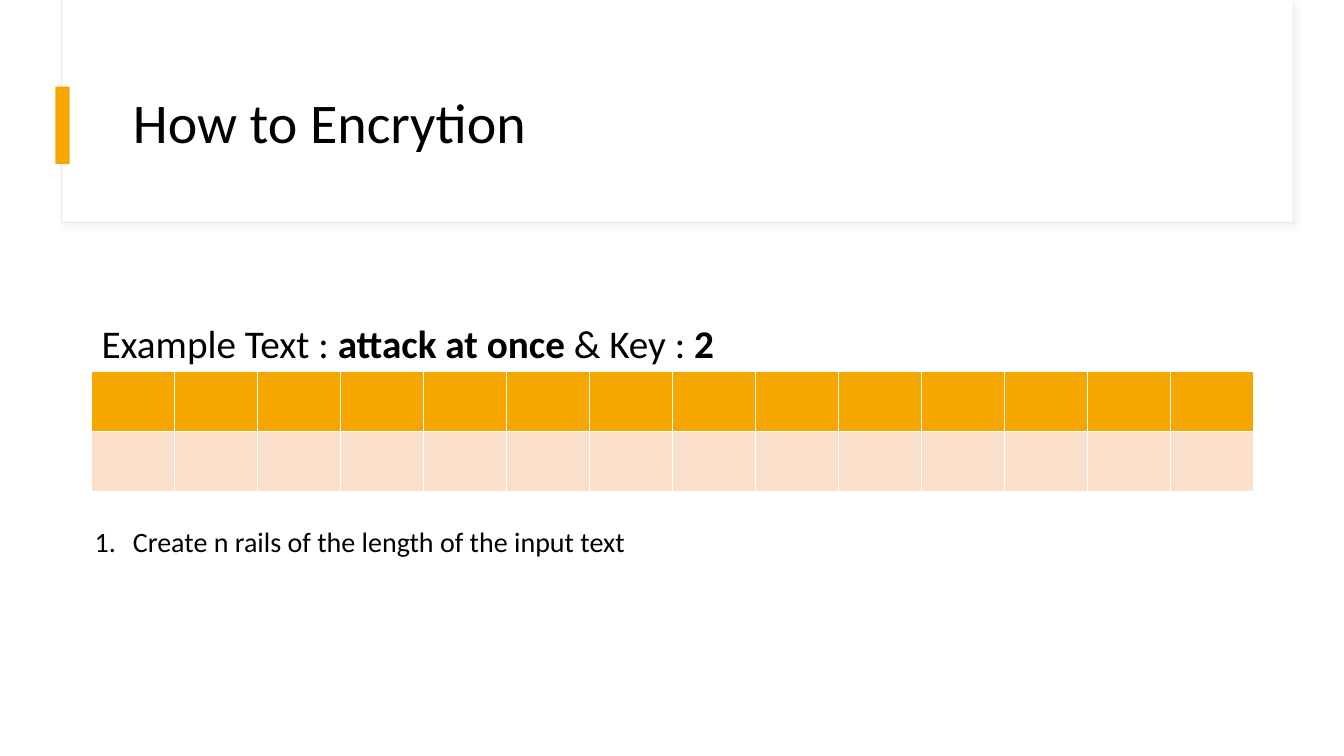
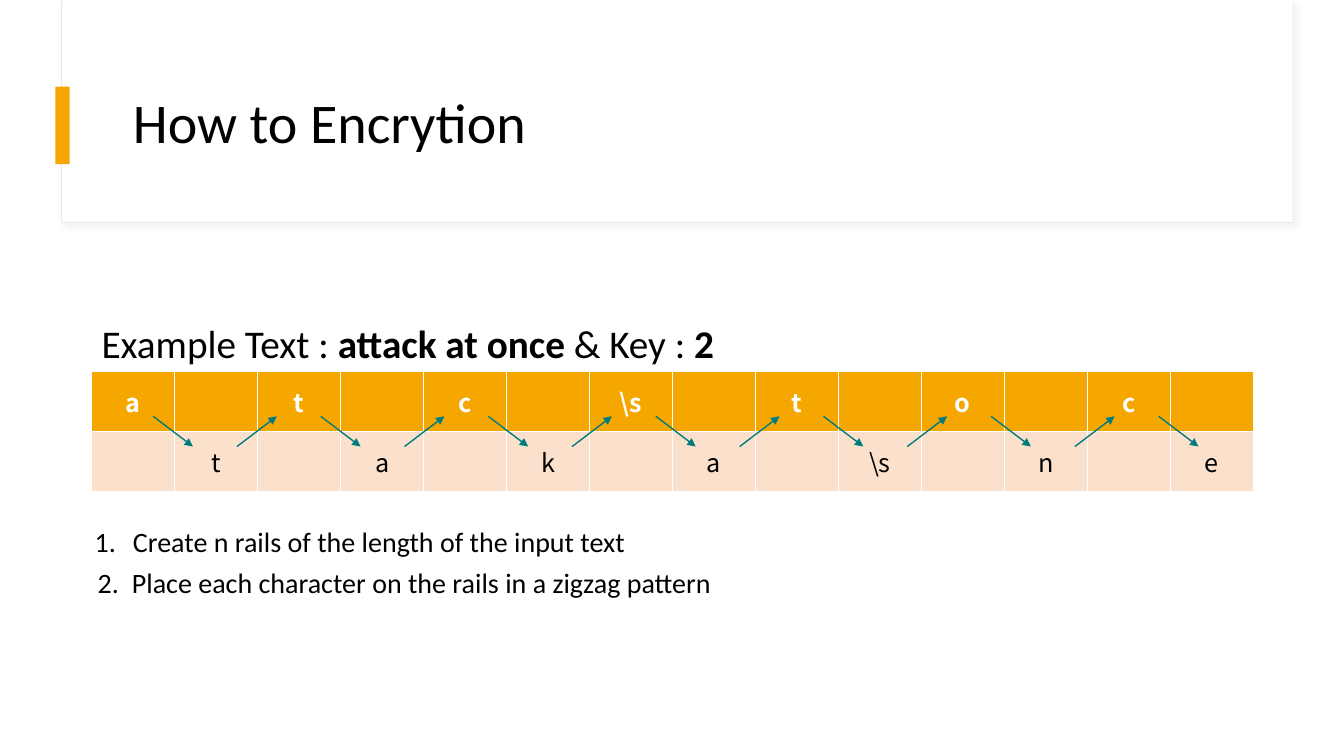
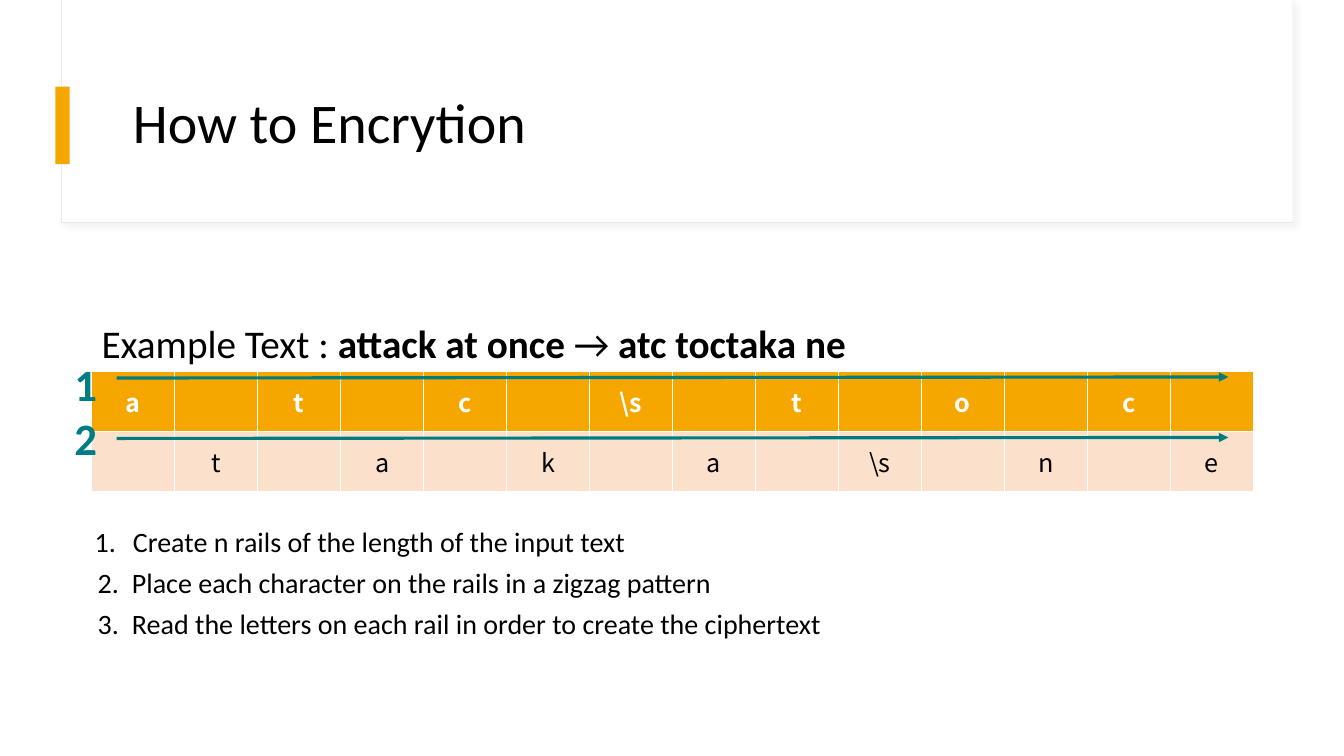
"""Build three slides that explain rail fence encryption step by step."""
import lxml.etree
import pptx
import pptx.dml.color
import pptx.enum.shapes
import pptx.enum.text
import pptx.oxml.ns
import pptx.util

inch = pptx.util.Inches
rgb = pptx.dml.color.RGBColor.from_string
qn = pptx.oxml.ns.qn

AMBER, PEACH, TEAL, WHITE, BLACK = "F5A700", "FBE1CC", "007C80", "FFFFFF", "000000"
LEFT, TOP, WIDTH = 0.91, 3.68, 11.52
COLS, ROW = 14, 0.6
COL = WIDTH / COLS
MESSAGE = ["a", "t", "t", "a", "c", "k", "\\s", "a", "t", "\\s", "o", "n", "c", "e"]
STEPS = [
    (0.84, 8.07, 0.38, "Create n rails of the length of the input text"),
    (0.87, 8.07, 0.34, "Place each character on the rails in a zigzag pattern"),
    (0.87, 9.21, 0.34, "Read the letters on each rail in order to create the ciphertext"),
]
KEY_LINE = "Example Text : *attack at once* & Key : *2*"
CIPHER_LINE = "Example Text : *attack at once* → *atc toctaka ne*"


def add_text(s, box, lines, size, color=BLACK):
    """Add a text box; words between asterisks are bold."""
    tf = s.shapes.add_textbox(*map(inch, box)).text_frame
    tf.word_wrap = True
    for i, line in enumerate(lines):
        p = tf.paragraphs[0] if i == 0 else tf.add_paragraph()
        for j, part in enumerate(line.split("*")):
            if part:
                r = p.add_run()
                r.text = part
                fmt = {"name": "Calibri", "size": pptx.util.Pt(size), "bold": j % 2 == 1}
                for name, value in fmt.items():
                    setattr(r.font, name, value)
                r.font.color.rgb = rgb(color)
    return tf


def add_arrow(s, ends, width):
    """Add a teal arrow that runs from the first point to the second."""
    c = s.shapes.add_connector(pptx.enum.shapes.MSO_CONNECTOR.STRAIGHT, *map(inch, ends))
    c.line.width = pptx.util.Pt(width)
    c.line.color.rgb = rgb(TEAL)
    sppr = c.element.spPr
    lxml.etree.SubElement(sppr.find(qn("a:ln")), qn("a:tailEnd"), type="triangle")
    lxml.etree.SubElement(sppr, qn("a:effectLst"))


prs = pptx.Presentation()
prs.slide_width, prs.slide_height = inch(13.33), inch(7.5)
blank = prs.slide_layouts[6]
slides = [prs.slides.add_slide(blank) for _ in STEPS]

for box, fill, edge in [
    ((0.61, 0, 12.21, 2.21), WHITE, "E9E9E9"),
    ((0.62, 0, 12.2, 2.2), WHITE, None),
    ((0.55, 0.86, 0.14, 0.77), AMBER, None),
]:
    sp = slides[0].shapes.add_shape(pptx.enum.shapes.MSO_SHAPE.RECTANGLE, *map(inch, box))
    sp.shadow.inherit = False
    sp.fill.solid()
    sp.fill.fore_color.rgb = rgb(fill)
    if edge:
        sp.line.color.rgb = rgb(edge)
        sp.line.width = pptx.util.Pt(0.75)
        shadow = lxml.etree.SubElement(
            sp.element.spPr.find(qn("a:effectLst")), qn("a:outerShdw"),
            blurRad="50800", dist="38100", dir="2700000", algn="tl", rotWithShape="0")
        tint = lxml.etree.SubElement(shadow, qn("a:srgbClr"), val="D9D9D9")
        lxml.etree.SubElement(tint, qn("a:alpha"), val="30000")
    else:
        sp.line.fill.background()
    blank.shapes.element.append(sp.element)

for n, s in enumerate(slides):
    tf = add_text(s, (1.22, 0.6, 11.12, 1.29), ["How to Encrytion"], 40)
    tf.vertical_anchor = pptx.enum.text.MSO_ANCHOR.MIDDLE
    tf.paragraphs[0].line_spacing = 0.9
    add_text(s, (LEFT, 3.12, 8.96, 0.57), [CIPHER_LINE if n == 2 else KEY_LINE], 28)

    table = s.shapes.add_table(2, COLS, *map(inch, (LEFT, TOP, WIDTH, 2 * ROW))).table
    table.horz_banding = False
    for row, (fill, color) in enumerate([(AMBER, WHITE), (PEACH, BLACK)]):
        for col, letter in enumerate(MESSAGE):
            cell = table.cell(row, col)
            cell.fill.solid()
            cell.fill.fore_color.rgb = rgb(fill)
            if n and col % 2 == row:
                cell.vertical_anchor = pptx.enum.text.MSO_ANCHOR.MIDDLE
                for side in ("left", "top", "right", "bottom"):
                    setattr(cell, "margin_" + side, inch(0.05))
                p = cell.text_frame.paragraphs[0]
                p.alignment = pptx.enum.text.PP_ALIGN.CENTER
                r = p.add_run()
                r.text = letter
                fmt = {"name": "Noto Sans CJK KR", "size": pptx.util.Pt(18), "bold": row == 0}
                for name, value in fmt.items():
                    setattr(r.font, name, value)
                r.font.color.rgb = rgb(color)

    for i, (left, width, indent, step) in enumerate(STEPS[:n + 1]):
        tf = add_text(s, (left, 5.15 + 0.41 * i, width, 0.44), [step], 20)
        ppr = tf.paragraphs[0]._p.get_or_add_pPr()
        ppr.set("marL", str(inch(indent)))
        ppr.set("indent", str(-inch(indent)))
        lxml.etree.SubElement(ppr, qn("a:buFont"), typeface="+mj-lt")
        lxml.etree.SubElement(ppr, qn("a:buAutoNum"), type="arabicPeriod", startAt=str(i + 1))

high, low = TOP + 0.75 * ROW, TOP + 1.25 * ROW
for i in range(COLS - 1):
    x = LEFT + COL * (0.74 + 1.01 * i)
    y1, y2 = (low, high) if i % 2 else (high, low)
    add_arrow(slides[1], (x, y1, x + 0.48 * COL, y2), 1)

for row in range(2):
    y = TOP + 0.07 + row * ROW
    add_arrow(slides[2], (LEFT + 0.3 * COL, y, LEFT + 13.7 * COL, y - 0.01), 2.25)
add_text(slides[2], (0.64, 3.49, 0.58, 1.72), ["*1*", "*2*"], 32, "007D82")

prs.save("out.pptx")
